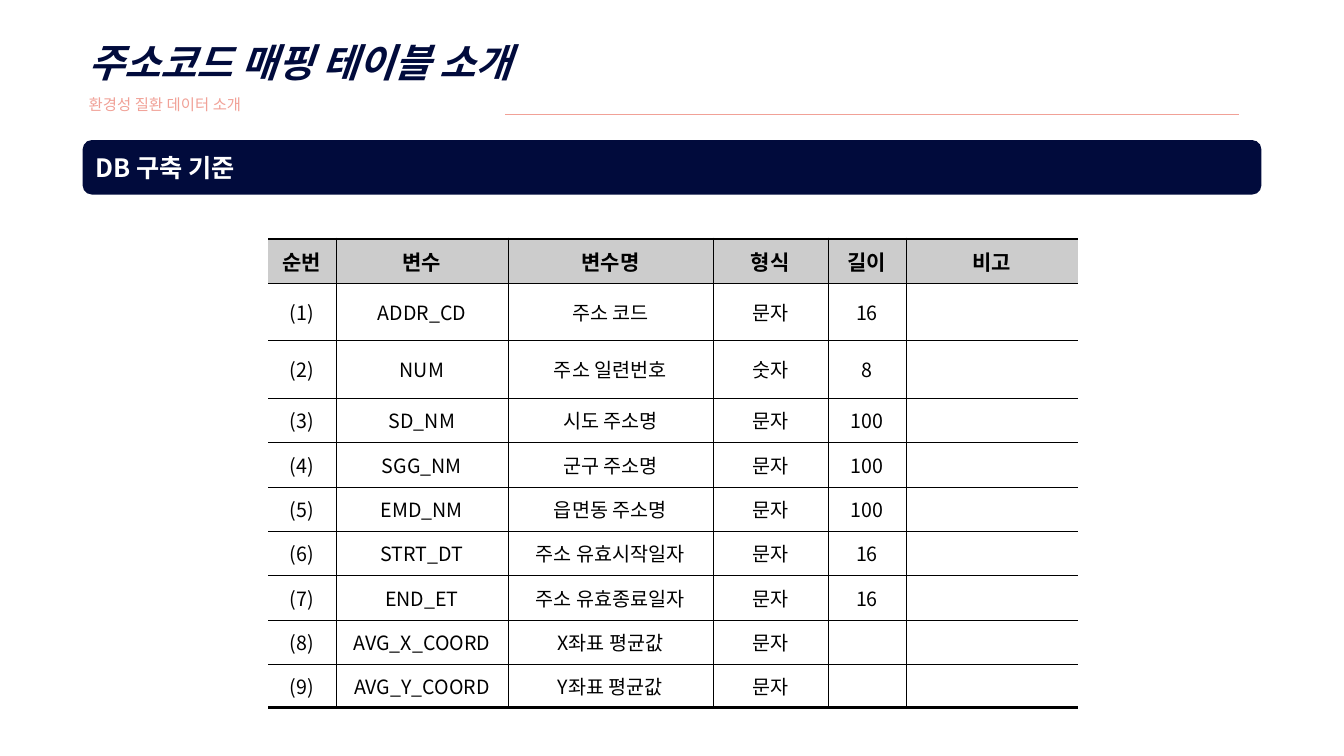
from lxml.etree import SubElement
from pptx import Presentation
from pptx.dml.color import RGBColor
from pptx.enum.shapes import MSO_CONNECTOR, MSO_SHAPE
from pptx.enum.text import MSO_ANCHOR, MSO_AUTO_SIZE, PP_ALIGN
from pptx.oxml.ns import qn
from pptx.util import Inches as In, Pt

NAVY = RGBColor(0x01, 0x0B, 0x3C)
PINK = RGBColor(0xF1, 0xA1, 0x97)
GREY = RGBColor(0xCC, 0xCC, 0xCC)
BLACK = RGBColor(0, 0, 0)
WHITE = RGBColor(255, 255, 255)
FONT = "Noto Sans CJK KR"
THIN, THICK = 0.28, 1.98


def write(p, text, size, color, bold=False, italic=False,
          align=PP_ALIGN.LEFT, spacing=1.0):
    p.alignment, p.line_spacing = align, spacing
    if not text:
        SubElement(p._p, qn("a:endParaRPr"), sz=str(size * 100))
        return
    r = p.add_run()
    r.text = text
    r.font.name, r.font.size = FONT, Pt(size)
    r.font.bold, r.font.italic = bold, italic
    r.font.color.rgb = color
    SubElement(r.font._element, qn("a:ea"), typeface=FONT)


def border(cell, side, width):
    ln = SubElement(cell._tc.get_or_add_tcPr(), qn("a:ln" + side),
                    w=str(int(Pt(width))))
    if width:
        fill = SubElement(ln, qn("a:solidFill"))
        SubElement(fill, qn("a:srgbClr"), val=str(BLACK))
    else:
        SubElement(ln, qn("a:noFill"))


prs = Presentation()
prs.slide_width, prs.slide_height = In(13.33), In(7.5)
s = prs.slides.add_slide(prs.slide_layouts[5])

# Title and subtitle
title = s.shapes.title
title.left, title.top, title.width, title.height = In(0.78), In(0.1), In(6.67), In(1.25)
tf = title.text_frame
tf.word_wrap, tf.auto_size = True, MSO_AUTO_SIZE.NONE
tf.vertical_anchor = MSO_ANCHOR.TOP
write(tf.paragraphs[0], "주소코드 매핑 테이블 소개", 28, NAVY, bold=True, italic=True, spacing=1.5)
write(tf.add_paragraph(), "환경성 질환 데이터 소개", 11, PINK, spacing=1.5)

# Rule beside the subtitle
rule = s.shapes.add_connector(MSO_CONNECTOR.STRAIGHT, In(5.01), In(1.13), In(12.29), In(1.13))
rule.line.color.rgb, rule.line.width = PINK, Pt(0.5)
SubElement(rule._element.spPr, qn("a:effectLst"))

# Section bar
bar = s.shapes.add_shape(MSO_SHAPE.ROUNDED_RECTANGLE, In(0.82), In(1.39), In(11.69), In(0.54))
bar.shadow.inherit = False
bar.fill.solid()
bar.fill.fore_color.rgb = NAVY
bar.line.fill.background()
bar.text_frame.vertical_anchor = MSO_ANCHOR.MIDDLE
write(bar.text_frame.paragraphs[0], "DB 구축 기준", 18, WHITE, bold=True)

# Variable table
header = ["순번", "변수", "변수명", "형식", "길이", "비고"]
variables = [
    ("ADDR_CD", "주소 코드", "문자", "16"),
    ("NUM", "주소 일련번호", "숫자", "8"),
    ("SD_NM", "시도 주소명", "문자", "100"),
    ("SGG_NM", "군구 주소명", "문자", "100"),
    ("EMD_NM", "읍면동 주소명", "문자", "100"),
    ("STRT_DT", "주소 유효시작일자", "문자", "16"),
    ("END_ET", "주소 유효종료일자", "문자", "16"),
    ("AVG_X_COORD", "X좌표 평균값", "문자", ""),
    ("AVG_Y_COORD", "Y좌표 평균값", "문자", ""),
]
rows = [header] + [[f"({n})", *v, ""] for n, v in enumerate(variables, 1)]
widths = [0.67, 1.71, 2.03, 1.14, 0.78, 1.7]
heights = [0.44] + [0.57] * 2 + [0.44] * 6 + [0.43]
last_row, last_col = len(rows) - 1, len(widths) - 1

table = s.shapes.add_table(len(rows), len(widths), In(2.66), In(2.37),
                           In(sum(widths)), In(sum(heights))).table
table.first_row = table.horz_banding = False
for col, width in zip(table.columns, widths):
    col.width = In(width)
for row, height in zip(table.rows, heights):
    row.height = In(height)

for i, row in enumerate(rows):
    for j, text in enumerate(row):
        cell = table.cell(i, j)
        cell.vertical_anchor = MSO_ANCHOR.MIDDLE
        write(cell.text_frame.paragraphs[0], text, 14 if i else 15, BLACK,
              bold=i == 0, align=PP_ALIGN.CENTER)
        border(cell, "L", THIN if j else 0)
        border(cell, "R", THIN if j < last_col else 0)
        border(cell, "T", THIN if i else THICK)
        border(cell, "B", THIN if i < last_row else THICK)
        if i:
            cell.fill.background()
        else:
            cell.fill.solid()
            cell.fill.fore_color.rgb = GREY

prs.save("out.pptx")
